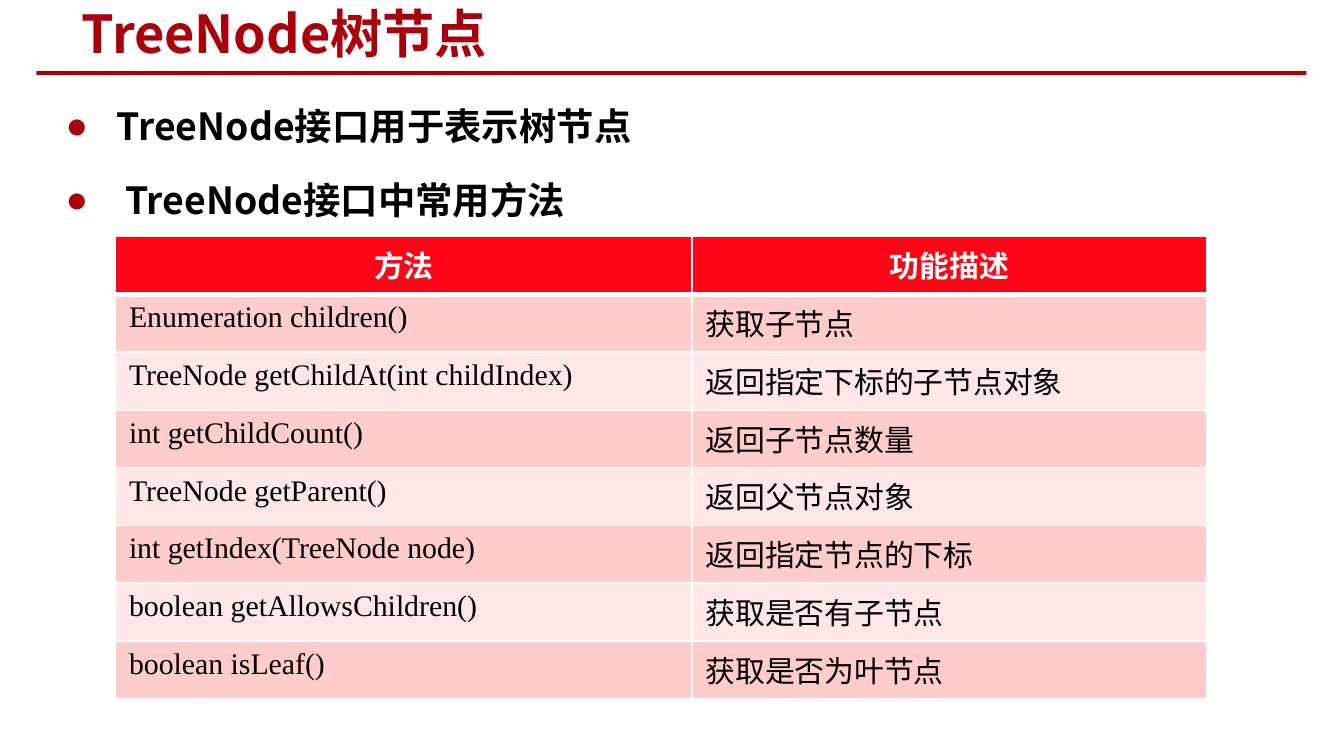
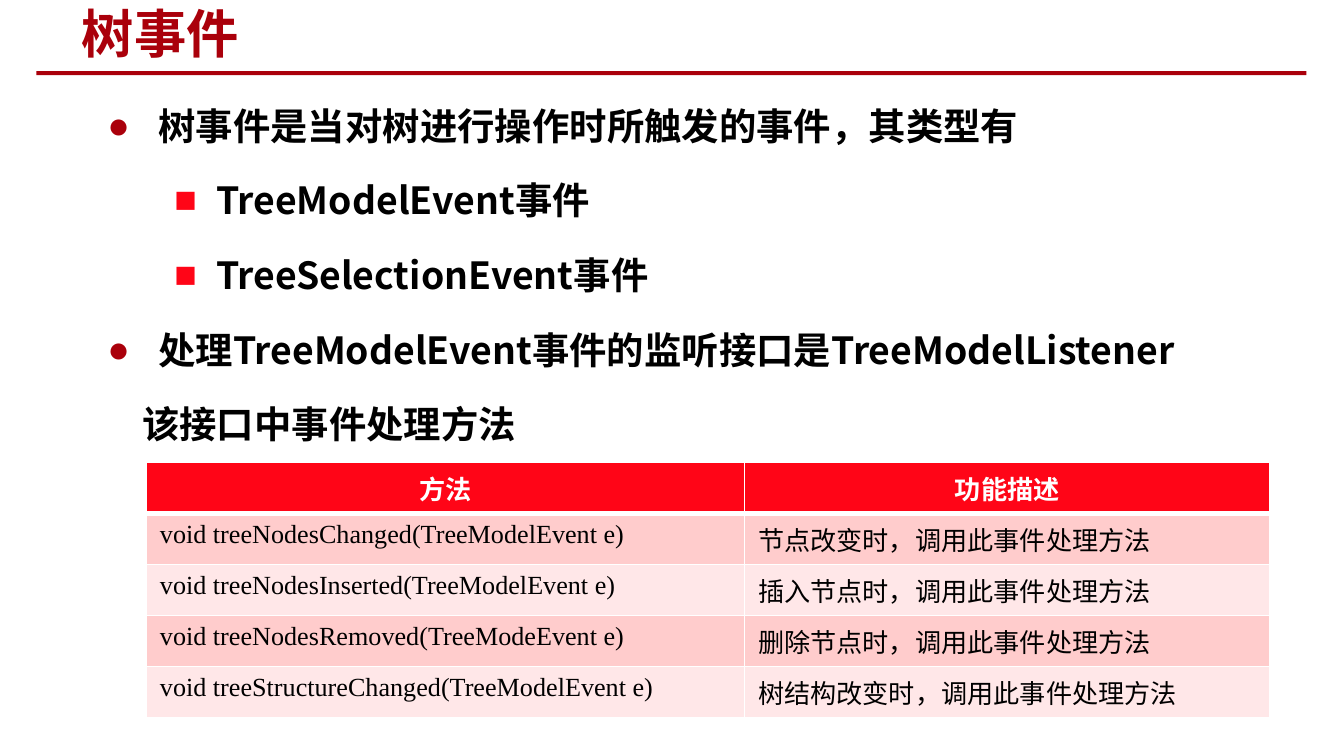
from lxml import etree
from pptx import Presentation
from pptx.dml.color import RGBColor
from pptx.enum.shapes import MSO_SHAPE
from pptx.enum.text import MSO_ANCHOR, MSO_AUTO_SIZE, PP_ALIGN
from pptx.oxml.ns import qn
from pptx.util import Inches, Pt

RECTANGLE = MSO_SHAPE.RECTANGLE
MIDDLE = MSO_ANCHOR.MIDDLE
NO_AUTOFIT = MSO_AUTO_SIZE.NONE
LEFT, CENTER = PP_ALIGN.LEFT, PP_ALIGN.CENTER

DARK_RED, RED = "AA000B", "FF0517"
BANDS = ("FFCCCC", "FFE7E8")
WHITE, BLACK = "FFFFFF", "000000"
HEADING_FONT, TABLE_FONT, CODE_FONT = "Noto Sans CJK SC", "Calibri", "Times New Roman"
TITLE_ONLY = 5

LEVELS = {
    "point": (0.38, -0.38, "●", DARK_RED),
    "subpoint": (0.81, -0.31, "■", RED),
    "continued": (0.26, 0, None, None),
}
HEADER = ("方法", "功能描述")


def color(value):
    return RGBColor.from_string(value)


class Deck:
    """Holds the shared slide style and the current page."""

    def __init__(self):
        self.deck = Presentation()
        self.deck.slide_width = Inches(10)
        self.deck.slide_height = Inches(10) * 9 // 16
        self.page = None

    def style(self, para, size, font, shade, bold):
        for span in para.runs:
            span.font.size = Pt(size)
            span.font.bold = bold
            span.font.color.rgb = color(shade)
            span.font.name = font
            east_asian = etree.SubElement(span.font._element, qn("a:ea"))
            east_asian.set("typeface", HEADING_FONT)

    def add_page(self, title):
        self.page = self.deck.slides.add_slide(self.deck.slide_layouts[TITLE_ONLY])
        rule = self.page.shapes.add_shape(
            RECTANGLE, Inches(0.27), Inches(0.53), Inches(9.45), Inches(0.03))
        rule.shadow.inherit = False
        rule.fill.solid()
        rule.fill.fore_color.rgb = color(DARK_RED)
        rule.line.fill.background()
        box = self.page.shapes.title
        box.left, box.top = Inches(0.51), Inches(0.02)
        box.width, box.height = Inches(6.85), Inches(0.45)
        frame = box.text_frame
        frame.text = title
        frame.auto_size = NO_AUTOFIT
        frame.vertical_anchor = MIDDLE
        frame.paragraphs[0].alignment = LEFT
        self.style(frame.paragraphs[0], 28, HEADING_FONT, DARK_RED, True)

    def add_bullets(self, left, width, height, items):
        box = self.page.shapes.add_textbox(
            Inches(left), Inches(0.55), Inches(width), Inches(height))
        frame = box.text_frame
        frame.word_wrap = True
        frame.text = "\n".join(text for _, text in items)
        for para, (level, _) in zip(frame.paragraphs, items):
            para.line_spacing = 1.5
            para.space_before = Pt(4)
            self.style(para, 20, HEADING_FONT, BLACK, True)
            self.add_bullet(para, *LEVELS[level])

    def add_bullet(self, para, margin, indent, mark, shade):
        properties = para._p.get_or_add_pPr()
        properties.set("marL", str(Inches(margin)))
        properties.set("indent", str(Inches(indent)))
        if mark is None:
            etree.SubElement(properties, qn("a:buNone"))
            return
        fill = etree.SubElement(properties, qn("a:buClr"))
        etree.SubElement(fill, qn("a:srgbClr")).set("val", shade)
        etree.SubElement(properties, qn("a:buFont")).set("typeface", "Arial")
        etree.SubElement(properties, qn("a:buChar")).set("char", mark)

    def add_borders(self, cell, bottom_width):
        properties = cell._tc.get_or_add_tcPr()
        widths = {"a:lnL": 1, "a:lnR": 1, "a:lnT": 1, "a:lnB": bottom_width}
        for position, (tag, width) in enumerate(widths.items()):
            line = etree.Element(qn(tag), w=str(Pt(width)))
            fill = etree.SubElement(line, qn("a:solidFill"))
            etree.SubElement(fill, qn("a:srgbClr")).set("val", WHITE)
            properties.insert(position, line)

    def add_table(self, left, top, widths, row_height, size, methods):
        rows = [HEADER, *methods]
        table = self.page.shapes.add_table(
            len(rows), len(widths), Inches(left), Inches(top),
            Inches(sum(widths)), Inches(row_height * len(rows))).table
        for column, width in zip(table.columns, widths):
            column.width = Inches(width)
        for row, texts in enumerate(rows):
            table.rows[row].height = Inches(row_height)
            is_header = row == 0
            for column, text in enumerate(texts):
                cell = table.cell(row, column)
                cell.text = text
                cell.fill.solid()
                cell.fill.fore_color.rgb = color(RED if is_header else BANDS[(row - 1) % 2])
                if is_header:
                    self.add_borders(cell, 3)
                para = cell.text_frame.paragraphs[0]
                para.alignment = CENTER if is_header else LEFT
                font = CODE_FONT if column == 0 and not is_header else TABLE_FONT
                self.style(para, size, font, WHITE if is_header else BLACK, is_header)

    def save(self):
        self.deck.save("out.pptx")


def main():
    deck = Deck()

    deck.add_page("TreeNode树节点")
    deck.add_bullets(0.39, 8.98, 0.55, [
        ("point", "TreeNode接口用于表示树节点"),
        ("point", " TreeNode接口中常用方法"),
    ])
    deck.add_table(0.86, 1.76, (4.29, 3.83), 0.43, 16, [
        ("Enumeration children()", "获取子节点"),
        ("TreeNode getChildAt(int childIndex)", "返回指定下标的子节点对象"),
        ("int getChildCount()", "返回子节点数量"),
        ("TreeNode getParent()", "返回父节点对象"),
        ("int getIndex(TreeNode node)", "返回指定节点的下标"),
        ("boolean getAllowsChildren()", "获取是否有子节点"),
        ("boolean isLeaf()", "获取是否为叶节点"),
    ])

    deck.add_page("树事件")
    deck.add_bullets(0.7, 8.66, 1.88, [
        ("point", "树事件是当对树进行操作时所触发的事件，其类型有"),
        ("subpoint", "TreeModelEvent事件"),
        ("subpoint", "TreeSelectionEvent事件"),
        ("point", "处理TreeModelEvent事件的监听接口是TreeModelListener"),
        ("continued", "该接口中事件处理方法"),
    ])
    deck.add_table(1.09, 3.44, (4.45, 3.91), 0.38, 14, [
        ("void treeNodesChanged(TreeModelEvent e)", "节点改变时，调用此事件处理方法"),
        ("void treeNodesInserted(TreeModelEvent e)", "插入节点时，调用此事件处理方法"),
        ("void treeNodesRemoved(TreeModeEvent e)", "删除节点时，调用此事件处理方法"),
        ("void treeStructureChanged(TreeModelEvent e)", "树结构改变时，调用此事件处理方法"),
    ])

    deck.save()


if __name__ == "__main__":
    main()
